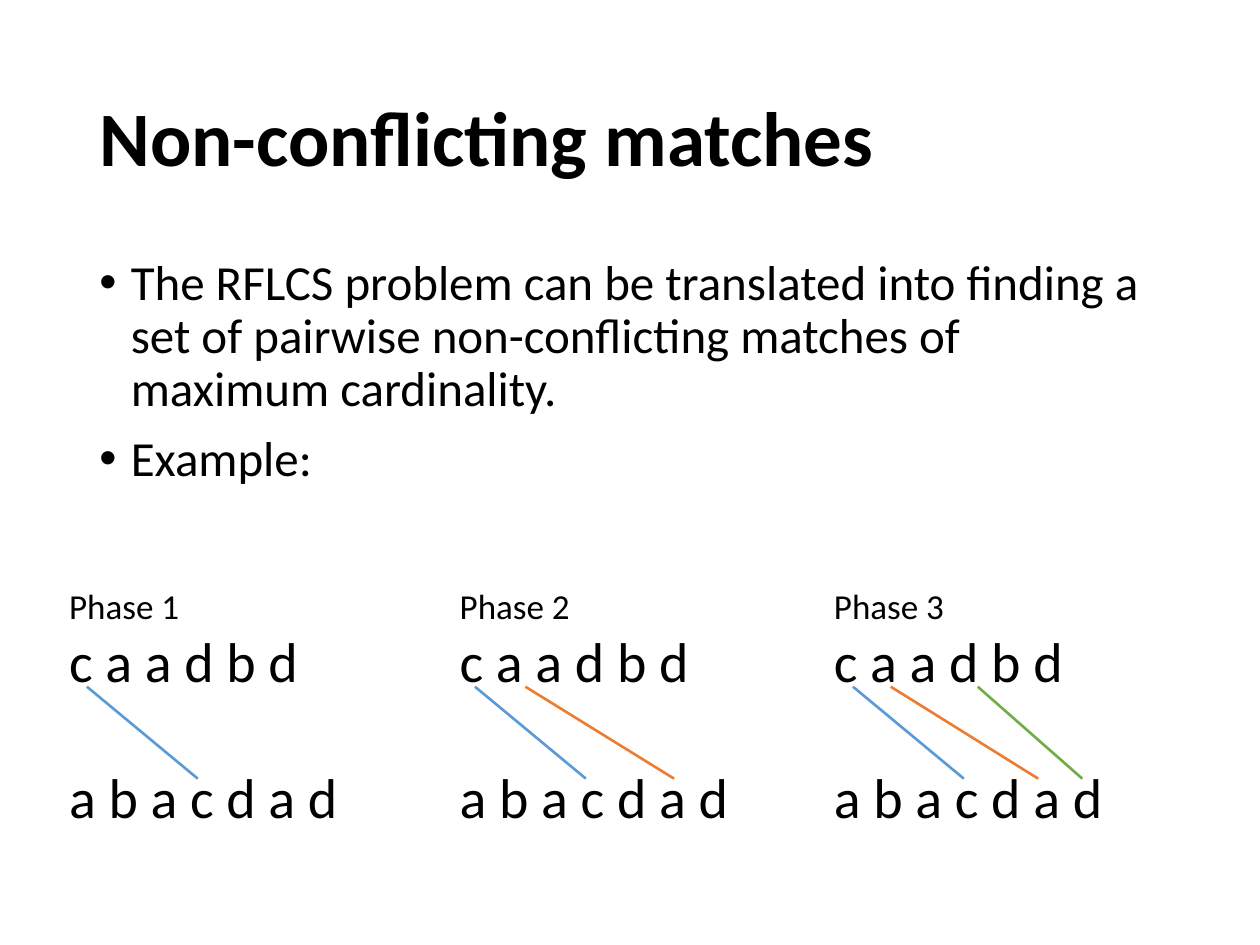
import pptx
import pptx.dml.color
import pptx.enum.shapes
import pptx.enum.text
import pptx.oxml
import pptx.oxml.ns
import pptx.util
from pptx.util import Inches

HUES = {"ink": "000000", "blue": "5B9BD5", "orange": "ED7D31", "green": "70AD47"}
ALIGN = pptx.enum.text.PP_ALIGN
ANCHOR = pptx.enum.text.MSO_ANCHOR
SIZING = pptx.enum.text.MSO_AUTO_SIZE
FRAME = {
    "word_wrap": True,
    "auto_size": SIZING.NONE,
    "margin_left": Inches(0.1),
    "margin_right": Inches(0.1),
    "margin_top": Inches(0.05),
    "margin_bottom": Inches(0.05),
}
PHASES = [
    (0.45, [("blue", 0.24, 1.12)]),
    (3.55, [("blue", 0.22, 1.1), ("orange", 0.62, 1.8)]),
    (6.52, [("blue", 0.25, 1.13), ("orange", 0.55, 1.72), ("green", 1.24, 2.07)]),
]


def apply(item, values):
    for name, value in values.items():
        setattr(item, name, value)


def color(hue):
    return pptx.dml.color.RGBColor.from_string(HUES[hue])


def write(para, text, size, bold=False, **format):
    apply(para, {"alignment": ALIGN.LEFT, **format})
    run = para.add_run()
    run.text = text
    apply(run.font, {"name": "Calibri", "size": pptx.util.Pt(size), "bold": bold})
    run.font.color.rgb = color("ink")


def add_para(frame, index):
    return frame.add_paragraph() if index else frame.paragraphs[0]


def add_text(slide, box):
    frame = slide.shapes.add_textbox(*map(Inches, box)).text_frame
    apply(frame, FRAME)
    return frame


def add_bullet(para):
    props = para._p.get_or_add_pPr()
    apply_indent = {"marL": Inches(0.25), "indent": Inches(-0.25)}
    for name, value in apply_indent.items():
        props.set(name, str(int(value)))
    space = pptx.oxml.ns.nsdecls("a")
    for tag in ('buFont {} typeface="Arial"', 'buChar {} char="•"'):
        props.append(pptx.oxml.parse_xml(f"<a:{tag.format(space)}/>"))


def add_title(slide, box):
    title = slide.shapes.title
    apply(title, dict(zip(("left", "top", "width", "height"), map(Inches, box))))
    apply(title.text_frame, {**FRAME, "vertical_anchor": ANCHOR.MIDDLE})
    write(title.text_frame.paragraphs[0], "Non-conflicting matches", 44, True, line_spacing=0.9)


def add_body(slide, box):
    frame = add_text(slide, box)
    points = [
        "The RFLCS problem can be translated into finding a set of pairwise "
        "non-conflicting matches of maximum cardinality.",
        "Example:",
    ]
    for index, text in enumerate(points):
        para = add_para(frame, index)
        add_bullet(para)
        gap = pptx.util.Pt(10 if index else 0)
        write(para, text, 28, line_spacing=0.9, space_before=gap)


def add_match(slide, hue, start, end):
    points = map(Inches, (*start, *end))
    line = slide.shapes.add_connector(pptx.enum.shapes.MSO_CONNECTOR.STRAIGHT, *points)
    line.line.color.rgb = color(hue)
    line.line.width = pptx.util.Pt(1.5)
    space = pptx.oxml.ns.nsdecls("a")
    line._element.spPr.append(pptx.oxml.parse_xml(f"<a:effectLst {space}/>"))


def add_phase(slide, box, number, matches):
    left, top = box[:2]
    frame = add_text(slide, box)
    rows = [(f"Phase {number}", 20, 0), ("c a a d b d", 32, 0), ("a b a c d a d", 32, 39)]
    for index, (text, size, gap) in enumerate(rows):
        write(add_para(frame, index), text, size, space_before=pptx.util.Pt(gap))
    for hue, start, end in matches:
        add_match(slide, hue, (left + start, top + 0.86), (left + end, top + 1.59))


def main():
    deck = pptx.Presentation()
    apply(deck, {"slide_width": Inches(10), "slide_height": Inches(7.5)})
    slide = deck.slides.add_slide(deck.slide_layouts[5])
    add_title(slide, (0.69, 0.4, 8.63, 1.45))
    add_body(slide, (0.69, 2, 8.63, 4.76))
    for number, (left, matches) in enumerate(PHASES, 1):
        add_phase(slide, (left, 4.59, 2.69, 2.04), number, matches)
    deck.save("out.pptx")


if __name__ == "__main__":
    main()
